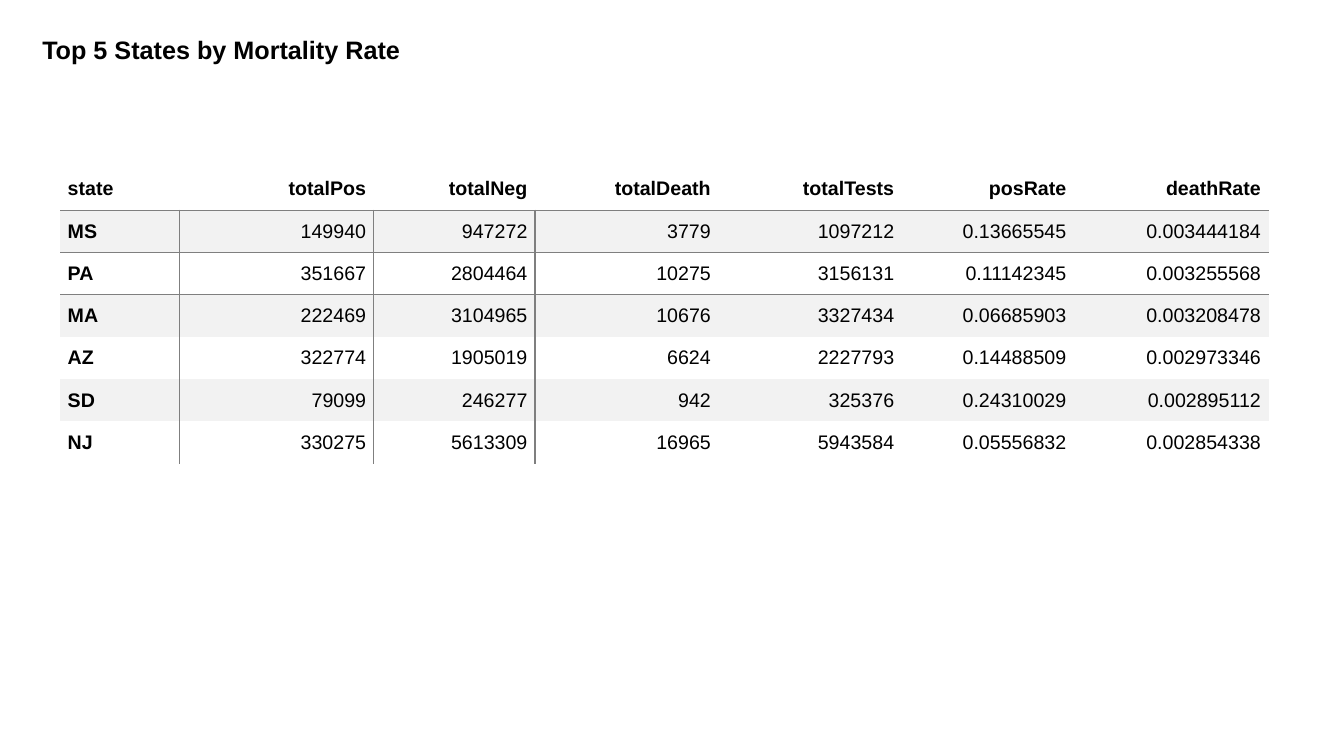
from dataclasses import dataclass

from lxml.etree import SubElement
from pptx import Presentation
from pptx.dml.color import RGBColor
from pptx.enum.text import MSO_ANCHOR, MSO_AUTO_SIZE, PP_ALIGN
from pptx.oxml.ns import qn
from pptx.util import Pt


@dataclass(frozen=True)
class Theme:
    font: str = "Arial"
    ink: str = "000000"
    band: str = "F2F2F2"
    rule: str = "7F7F7F"
    title_size: int = 18
    table_size: int = 14


THEME = Theme()
NO_GRID_STYLE = "{2D5ABB26-0587-4C30-8999-92F81FD0307C}"


def write(frame, text, size, bold=False, align=PP_ALIGN.LEFT, spacing=1.0):
    paragraph = frame.paragraphs[0]
    paragraph.alignment = align
    paragraph.line_spacing = spacing
    run = paragraph.add_run()
    run.text = text
    run.font.name = THEME.font
    run.font.size = Pt(size)
    run.font.bold = bold
    run.font.color.rgb = RGBColor.from_string(THEME.ink)


def rule_cell(cell, sides):
    """Draw thin rules on the given sides, named in the schema order L, R, T, B."""
    properties = cell._tc.get_or_add_tcPr()
    for side in sides:
        line = SubElement(properties, qn(f"a:ln{side}"), w=str(Pt(1)))
        fill = SubElement(line, qn("a:solidFill"))
        SubElement(fill, qn("a:srgbClr"), val=THEME.rule)


deck = Presentation()
deck.slide_width, deck.slide_height = Pt(960), Pt(540)
slide = deck.slides.add_slide(deck.slide_layouts[5])

title = slide.shapes.title
title.left, title.top, title.width, title.height = Pt(23), Pt(10), Pt(368.6), Pt(46.8)
heading = title.text_frame
heading.auto_size = MSO_AUTO_SIZE.NONE
heading.word_wrap = True
heading.vertical_anchor = MSO_ANCHOR.MIDDLE
heading.margin_left = heading.margin_right = Pt(7.2)
heading.margin_top = heading.margin_bottom = Pt(7.2)
write(heading, "Top 5 States by Mortality Rate", THEME.title_size, bold=True, spacing=1.15)

states = [
    ("state", "totalPos", "totalNeg", "totalDeath", "totalTests", "posRate", "deathRate"),
    ("MS", "149940", "947272", "3779", "1097212", "0.13665545", "0.003444184"),
    ("PA", "351667", "2804464", "10275", "3156131", "0.11142345", "0.003255568"),
    ("MA", "222469", "3104965", "10676", "3327434", "0.06685903", "0.003208478"),
    ("AZ", "322774", "1905019", "6624", "2227793", "0.14488509", "0.002973346"),
    ("SD", "79099", "246277", "942", "325376", "0.24310029", "0.002895112"),
    ("NJ", "330275", "5613309", "16965", "5943584", "0.05556832", "0.002854338"),
]
column_widths = [85, 139, 115.2, 131, 131, 123, 139]
row_height = 30.1

table_frame = slide.shapes.add_table(
    len(states), len(column_widths), Pt(43), Pt(120),
    Pt(sum(column_widths)), Pt(row_height * len(states)))
mortality = table_frame.table
mortality.first_col = True
table_frame.element.find(".//" + qn("a:tableStyleId")).text = NO_GRID_STYLE
for column, width in zip(mortality.columns, column_widths):
    column.width = Pt(width)

for r, values in enumerate(states):
    mortality.rows[r].height = Pt(row_height)
    for c, value in enumerate(values):
        cell = mortality.cell(r, c)
        cell.margin_left = cell.margin_right = Pt(5.4)
        cell.margin_top = cell.margin_bottom = Pt(7.2)
        write(cell.text_frame, value, THEME.table_size, bold=r == 0 or c == 0,
              align=PP_ALIGN.RIGHT if c else PP_ALIGN.LEFT)

        # Rules frame the first data row and the first column of figures
        sides = ""
        if r > 0:
            sides += "L" if c in (1, 2) else ""
            sides += "R" if c in (0, 1) else ""
        sides += "T" if r in (1, 2) else ""
        sides += "B" if r in (0, 1) else ""
        rule_cell(cell, sides)

        if r % 2:
            cell.fill.solid()
            cell.fill.fore_color.rgb = RGBColor.from_string(THEME.band)
        else:
            cell.fill.background()

deck.save("out.pptx")
